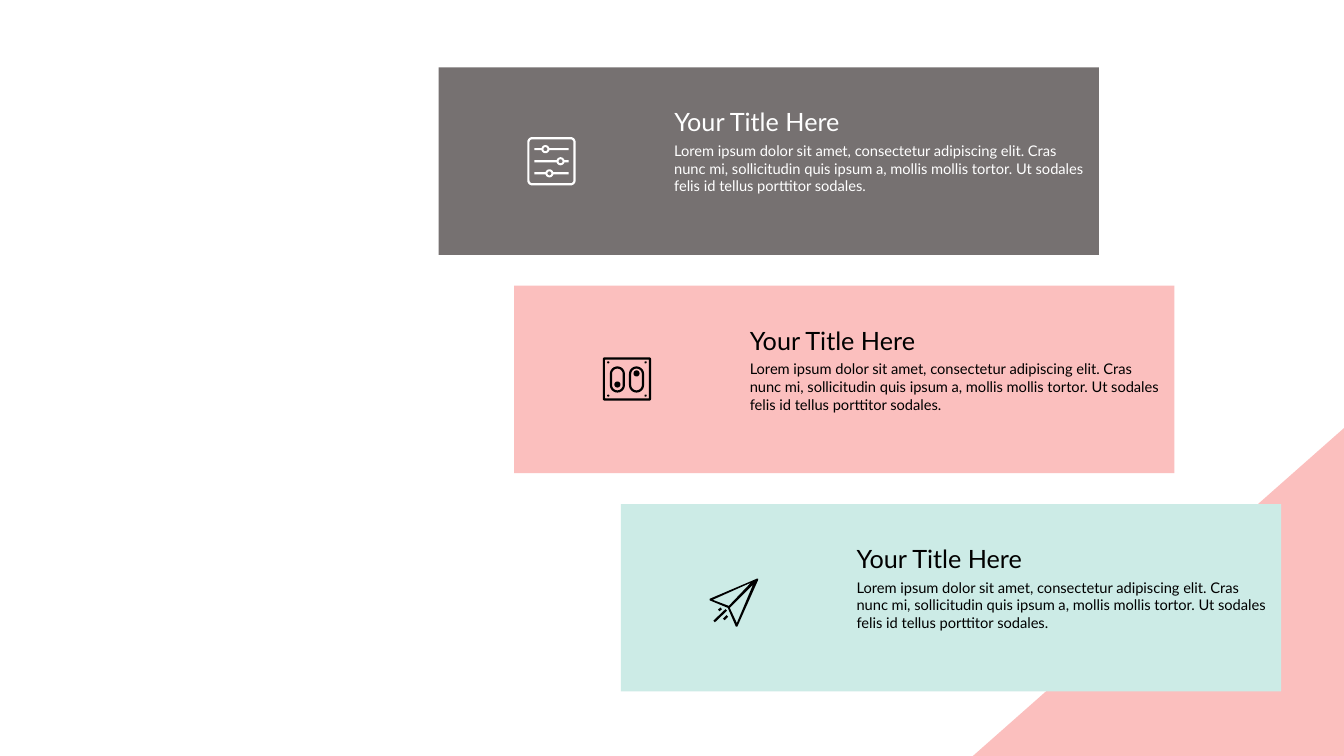
from dataclasses import dataclass
from math import cos, hypot, pi, sin

from pptx import Presentation
from pptx import util as u
from pptx.dml.color import RGBColor
from pptx.enum import shapes, text

Point = tuple[float, float]
Loop = list[Point]

FONT = "Lato"
PINK, GREY, MINT = "FBBFBE", "767171", "CCEBE6"
BLACK, WHITE = "000000", "FFFFFF"
HEAD = "Your Title Here"
BODY = (
    "Lorem ipsum dolor sit amet, consectetur adipiscing elit. Cras nunc mi, "
    "sollicitudin quis ipsum a, mollis mollis tortor. Ut sodales felis id "
    "tellus porttitor sodales."
)
TOP, PITCH, WIDE, HIGH = 8.93, 28.87, 49.13, 24.8

deck = Presentation()
deck.slide_width, deck.slide_height = u.Inches(13.33), u.Inches(7.5)
page = deck.slides.add_slide(deck.slide_layouts[6])


@dataclass
class Card:
    """One banner: left column, colours, icon drop in rows and icon outline."""

    left: float
    fill: str
    ink: str
    drop: float
    icon: list[Loop]


def col(n: float) -> int:
    """Turn hundredths of the slide's width into a length."""
    return round(deck.slide_width * n / 100)


def row(n: float) -> int:
    """Turn hundredths of the slide's height into a length."""
    return round(deck.slide_height * n / 100)


def box(x: float, y: float, w: float, h: float) -> tuple[int, int, int, int]:
    """Place a box on the grid."""
    return col(x), row(y), col(w), row(h)


def paint(item, tone: str):
    """Fill a shape with one colour, without line or shadow."""
    item.fill.solid()
    item.fill.fore_color.rgb = RGBColor.from_string(tone)
    item.line.fill.background()
    item.shadow.inherit = False
    return item


def write(words: str, *, at: tuple, size: float, tone: str) -> None:
    """Add a wrapped text box."""
    frame = page.shapes.add_textbox(*at).text_frame
    frame.word_wrap = True
    frame.auto_size = text.MSO_AUTO_SIZE.SHAPE_TO_FIT_TEXT
    run = frame.paragraphs[0].add_run()
    run.text = words
    run.font.name, run.font.size = FONT, u.Pt(size)
    run.font.color.rgb = RGBColor.from_string(tone)


def pill(x: float, y: float, w: float, h: float, r: float) -> Loop:
    """Outline a box with round corners."""
    hubs = [(x + w - r, y + h - r), (x + r, y + h - r), (x + r, y + r), (x + w - r, y + r)]
    return [
        (cx + r * cos(a), cy + r * sin(a))
        for k, (cx, cy) in enumerate(hubs)
        for a in ((k + i / 6) * pi / 2 for i in range(7))
    ]


def dot(x: float, y: float, r: float) -> Loop:
    """Outline a disc."""
    return pill(x - r, y - r, 2 * r, 2 * r, r)


def ring(x: float, y: float, w: float, h: float, r: float, rim: float = 2.2) -> list[Loop]:
    """Outline a hollow box with round corners."""
    hole = pill(x + rim, y + rim, w - 2 * rim, h - 2 * rim, max(r - rim, 0.5))
    return [pill(x, y, w, h, r), hole]


def bar(a: Point, b: Point, half: float = 1.1) -> Loop:
    """Outline a straight stroke."""
    dx, dy = b[0] - a[0], b[1] - a[1]
    f = half / hypot(dx, dy)
    p, q = -dy * f, dx * f
    return [(a[0] + p, a[1] + q), (b[0] + p, b[1] + q), (b[0] - p, b[1] - q), (a[0] - p, a[1] - q)]


def knob(x: float, y: float) -> list[Loop]:
    """Outline a slider with its round knob."""
    return ring(x - 4, y - 4, 8, 8, 4, 2) + [bar((7, y), (x - 4, y)), bar((x + 4, y), (41, y))]


def draw(loops: list[Loop], left: int, top: int, tone: str) -> None:
    """Draw an icon whose points are hundredths of an inch."""
    unit = u.Inches(0.01)
    paths = [[(x * unit, y * unit) for x, y in loop] for loop in loops]
    pen = page.shapes.build_freeform(*paths[0][0])
    for path_no, pts in enumerate(paths):
        if path_no:
            pen.move_to(*pts[0])
        pen.add_line_segments(pts[1:], close=True)
    paint(pen.convert_to_shape(left, top), tone)


def show(card: Card, top: float) -> None:
    """Draw one banner with its icon and words."""
    kind = shapes.MSO_SHAPE.RECTANGLE
    paint(page.shapes.add_shape(kind, *box(card.left, top, WIDE, HIGH)), card.fill)
    x = card.left + 16.8
    write(BODY, at=box(x, top + 9.2, 32.33, 8.4), size=10.5, tone=card.ink)
    write(HEAD, at=box(x, top + 4.53, 24.6, 5.33), size=18, tone=card.ink)
    draw(card.icon, col(card.left + 6.6), row(top + card.drop), card.ink)


MIXER = ring(0, 0, 48, 48, 5) + knob(18, 12) + knob(33, 24) + knob(22, 36)
SWITCH = [
    *ring(0, 0, 48, 43, 2),
    *ring(7, 9, 15, 26, 7.5),
    *ring(26, 9, 15, 26, 7.5),
    dot(14.5, 27, 3),
    dot(33.5, 16, 3),
    *(dot(x, y, 1.1) for x in (5.5, 42.5) for y in (5, 38)),
]
PLANE = [
    [(47, 0), (0, 20), (0, 21.5), (18, 29), (26, 47.5), (27.5, 47.5), (48, 1.5), (48, 0)],
    [(27, 44), (20, 29), (43, 6)],
    [(3, 21), (41, 4), (19, 27)],
    bar((4.5, 42.5), (16.5, 31)),
    bar((14, 40.5), (17.5, 37)),
    bar((9, 31.5), (11.5, 29.5)),
]
CARDS = [
    Card(32.63, GREY, WHITE, 9.2, MIXER),
    Card(38.25, PINK, BLACK, 9.47, SWITCH),
    Card(46.2, MINT, BLACK, 9.87, PLANE),
]


def main() -> None:
    """Build and save the slide."""
    kind = shapes.MSO_SHAPE.RIGHT_TRIANGLE
    wedge = paint(page.shapes.add_shape(kind, *box(73.88, 53.6, 24.6, 49.47)), PINK)
    wedge.rotation = 270
    for n, card in enumerate(CARDS):
        show(card, TOP + n * PITCH)
    deck.save("out.pptx")


if __name__ == "__main__":
    main()
